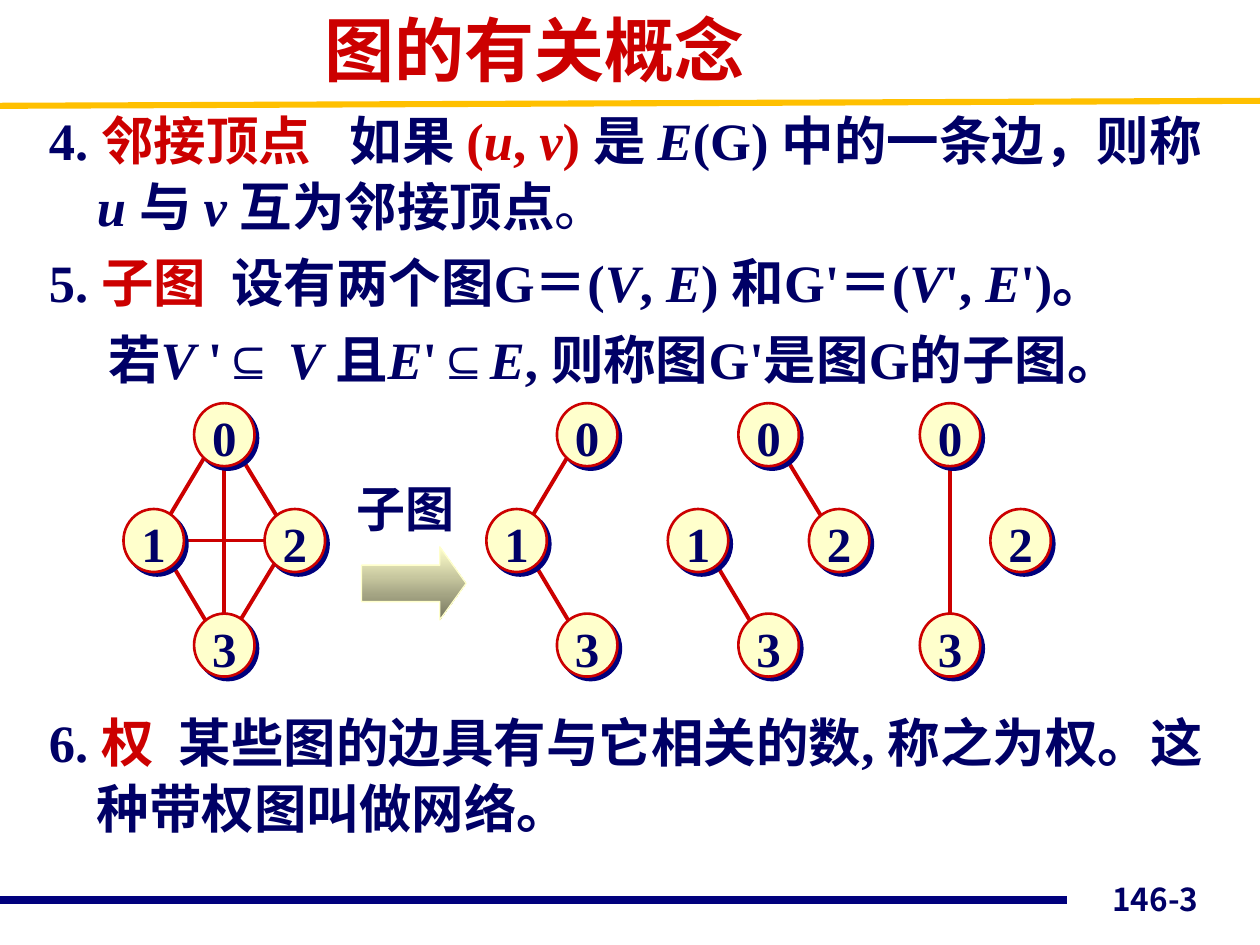
from lxml import etree
from pptx import Presentation
from pptx.dml.color import RGBColor
from pptx.enum.shapes import MSO_CONNECTOR, MSO_SHAPE
from pptx.enum.text import MSO_ANCHOR, PP_ALIGN
from pptx.oxml.ns import qn
from pptx.util import Inches, Pt

WIDTH, HEIGHT = 10, 7.5
NAVY, RED, CREAM, DEEP_BLUE, GOLD = "000066", "CC0000", "FFFFCC", "00007D", "FFC000"
LATIN, CHINESE = "Times New Roman", "Noto Sans CJK JP"

# Run styles: colour, italic, bold and extra letter spacing in points
STYLES = {
    "plain": {},
    "red": {"color": RED},
    "italic": {"italic": True},
    "red italic": {"color": RED, "italic": True},
    "light": {"bold": False},
    "gap": {"spacing": 7.5},
    "wide gap": {"spacing": 15},
}

# Each item: left margin and first-line indent in inches, space before in points, runs
ITEMS = [
    (0.38, -0.38, 6, [
        ("4. ", "plain"), ("邻接顶点", "red"), (" ", "wide gap"), ("如果 ", "plain"),
        ("(", "red"), ("u", "red italic"), (", ", "red"), ("v", "red italic"), (") ", "red"),
        ("是 ", "plain"), ("E", "italic"), ("(G) 中的一条边，则称 ", "plain"),
        ("u ", "italic"), ("与 ", "plain"), ("v ", "italic"),
        ("互为邻接顶点", "plain"), ("。", "light")]),
    (0.38, -0.38, 6, [
        ("5. ", "plain"), ("子图", "red"), (" ", "gap"), ("设有两个图G＝(", "plain"),
        ("V", "italic"), (", ", "plain"), ("E", "italic"), (") 和G'＝(", "plain"),
        ("V", "italic"), ("', ", "plain"), ("E", "italic"), ("')。", "plain")]),
    (0.47, 0, 6, [
        ("若", "plain"), ("V ", "italic"), ("'", "plain"), ("⊆", "light"), (" V ", "italic"),
        ("且", "plain"), ("E", "italic"), ("'", "plain"), ("⊆", "light"), ("E", "italic"),
        (", 则称图G'是图G的子图。", "plain")]),
    (0.38, -0.38, 181, [
        ("6. ", "plain"), ("权", "red"), (" ", "gap"),
        ("某些图的边具有与它相关的数, 称之为权。这种带权图叫做网络。", "plain")]),
]

# Graph geometry in inches from the top left corner of its box
NODE_SIZE = (0.48, 0.5)
NODES = {0: (0.56, 0), 1: (0, 0.84), 2: (1.12, 0.84), 3: (0.56, 1.67)}
EDGES = {
    (0, 1): (0.72, 0.3, 0.32, 0.97),
    (0, 2): (0.88, 0.34, 1.28, 1),
    (0, 3): (0.8, 0.42, 0.8, 1.89),
    (1, 2): (0.4, 1.09, 1.28, 1.09),
    (1, 3): (0.32, 1.17, 0.72, 1.84),
    (2, 3): (1.28, 1.14, 0.88, 1.8),
}
GRAPH_TOP, GRAPH_LEFT, GRAPH_STEP = 3.2, 0.98, 1.44
# Column on the graph grid, nodes, edges
GRAPHS = [
    (0, (0, 1, 2, 3), list(EDGES)),
    (2, (0, 1, 3), [(0, 1), (1, 3)]),
    (3, (0, 1, 2, 3), [(0, 2), (1, 3)]),
    (4, (0, 2, 3), [(0, 3)]),
]


def rgb(value):
    return RGBColor.from_string(value)


def set_values(target, values):
    for name, value in values.items():
        setattr(target, name, value)


def add_run(paragraph, text, size, color=NAVY, italic=False, bold=True, spacing=0, latin=LATIN):
    run = paragraph.add_run()
    run.text = text
    set_values(run.font, {"size": Pt(size), "bold": bold, "italic": italic, "name": latin})
    run.font.color.rgb = rgb(color)
    properties = run.font._element
    etree.SubElement(properties, qn("a:ea")).set("typeface", CHINESE)
    if spacing:
        properties.set("spc", str(int(spacing * 100)))


def add_text_box(slide, box, anchor=MSO_ANCHOR.TOP):
    frame = slide.shapes.add_textbox(*map(Inches, box)).text_frame
    set_values(frame, {"word_wrap": True, "vertical_anchor": anchor})
    return frame


def add_line(shapes, ends, color, width):
    line = shapes.add_connector(MSO_CONNECTOR.STRAIGHT, *map(Inches, ends))
    line.line.color.rgb = rgb(color)
    line.line.width = Pt(width)
    etree.SubElement(line._element.spPr, qn("a:effectLst"))


def add_offset_shadow(shape):
    shape.shadow.inherit = False
    effects = shape._element.spPr.find(qn("a:effectLst"))
    shadow = etree.SubElement(effects, qn("a:outerShdw"), dist=str(Pt(2.8)),
                              dir="2700000", algn="ctr", rotWithShape="0")
    etree.SubElement(shadow, qn("a:srgbClr"), val=DEEP_BLUE)


def add_node(shapes, label, left, top):
    node = shapes.add_shape(MSO_SHAPE.OVAL, *map(Inches, (left, top, *NODE_SIZE)))
    node.fill.solid()
    node.fill.fore_color.rgb = rgb(CREAM)
    node.line.color.rgb = rgb(RED)
    node.line.width = Pt(1.5)
    add_offset_shadow(node)
    set_values(node.text_frame, {
        "word_wrap": False, "vertical_anchor": MSO_ANCHOR.MIDDLE, "margin_left": 0,
        "margin_right": 0, "margin_top": Inches(0.04), "margin_bottom": 0})
    paragraph = node.text_frame.paragraphs[0]
    paragraph.alignment = PP_ALIGN.CENTER
    add_run(paragraph, str(label), 28)


def add_graph(slide, left, top, nodes, edges):
    shapes = slide.shapes.add_group_shape().shapes
    for edge in edges:
        x1, y1, x2, y2 = EDGES[edge]
        add_line(shapes, (left + x1, top + y1, left + x2, top + y2), RED, 2.25)
    for label in nodes:
        x, y = NODES[label]
        add_node(shapes, label, left + x, top + y)


def add_subgraph_arrow(slide, left, top):
    caption = add_text_box(slide, (left, top, 1.2, 0.57))
    add_run(caption.paragraphs[0], "子图", 28)
    arrow = slide.shapes.add_shape(
        MSO_SHAPE.RIGHT_ARROW, *map(Inches, (left + 0.14, top + 0.59, 0.83, 0.58)))
    arrow.shadow.inherit = False
    arrow.adjustments[1] = 0.36
    arrow.fill.gradient()
    arrow.fill.gradient_angle = 270
    for stop, position, color in zip(arrow.fill.gradient_stops, (0, 1), (CREAM, "76765E")):
        stop.position = position
        stop.color.rgb = rgb(color)
    arrow.line.color.rgb = rgb(CREAM)
    arrow.line.width = Pt(0.75)


def add_frame_lines_and_number(slide):
    add_line(slide.shapes, (0, 7.14, 8.47, 7.14), DEEP_BLUE, 4.5)
    add_line(slide.shapes, (0, 0.84, WIDTH, 0.8), GOLD, 3.5)
    paragraph = add_text_box(slide, (7.28, 6.83, 2.33, 0.5), MSO_ANCHOR.BOTTOM).paragraphs[0]
    paragraph.alignment = PP_ALIGN.RIGHT
    add_run(paragraph, "146-3", 18, latin=CHINESE)


def add_title(slide, box):
    frame = add_text_box(slide, box, MSO_ANCHOR.MIDDLE)
    add_run(frame.paragraphs[0], "图的有关概念", 40, RED)


def add_definitions(slide, box):
    frame = add_text_box(slide, box)
    for index, (margin, indent, before, runs) in enumerate(ITEMS):
        paragraph = frame.add_paragraph() if index else frame.paragraphs[0]
        set_values(paragraph, {"line_spacing": 1.05, "space_before": Pt(before)})
        properties = paragraph._p.get_or_add_pPr()
        properties.set("marL", str(Inches(margin)))
        properties.set("indent", str(Inches(indent)))
        for text, style in runs:
            add_run(paragraph, text, 30, **STYLES[style])


def main():
    presentation = Presentation()
    set_values(presentation, {"slide_width": Inches(WIDTH), "slide_height": Inches(HEIGHT)})
    slide = presentation.slides.add_slide(presentation.slide_layouts[6])
    add_frame_lines_and_number(slide)
    add_definitions(slide, (0.29, 0.78, 9.5, 6.67))
    add_subgraph_arrow(slide, 2.73, 3.75)
    for column, nodes, edges in GRAPHS:
        add_graph(slide, GRAPH_LEFT + column * GRAPH_STEP, GRAPH_TOP, nodes, edges)
    add_title(slide, (2.48, 0, 5.04, 0.77))
    presentation.save("out.pptx")


if __name__ == "__main__":
    main()
